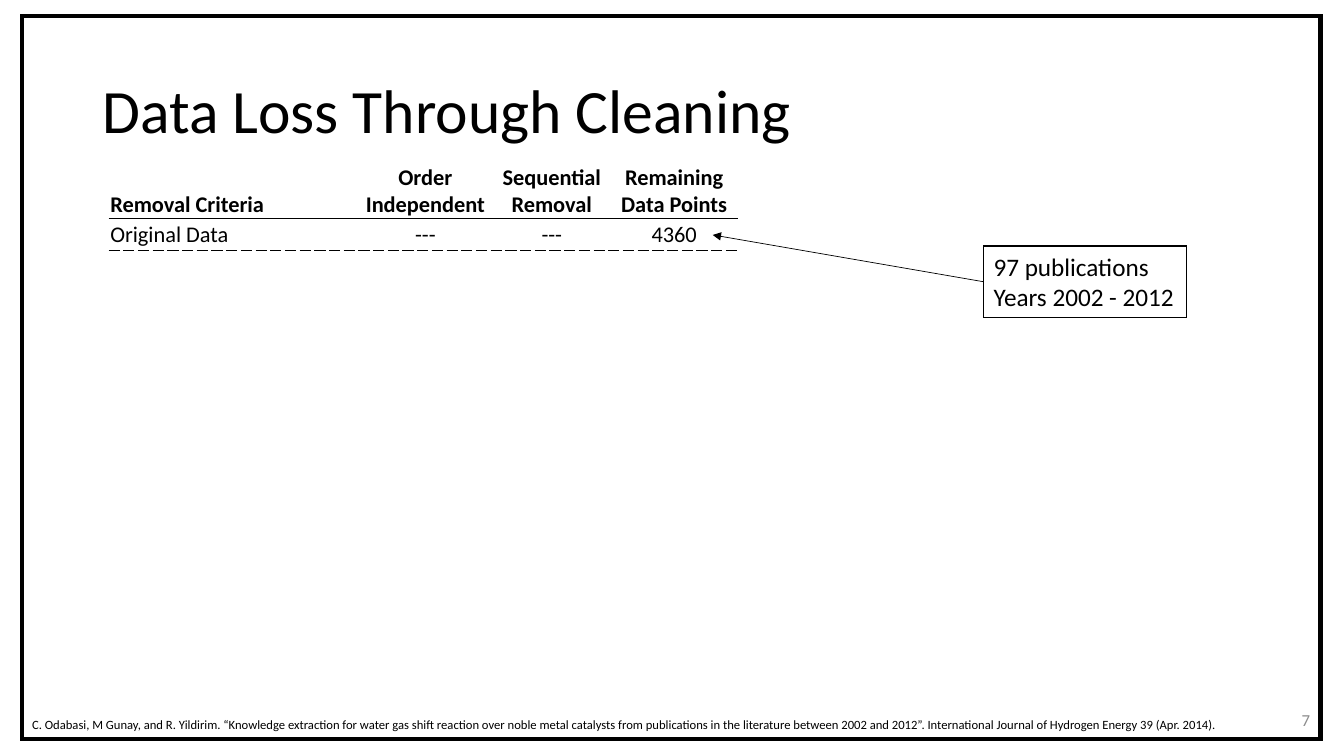
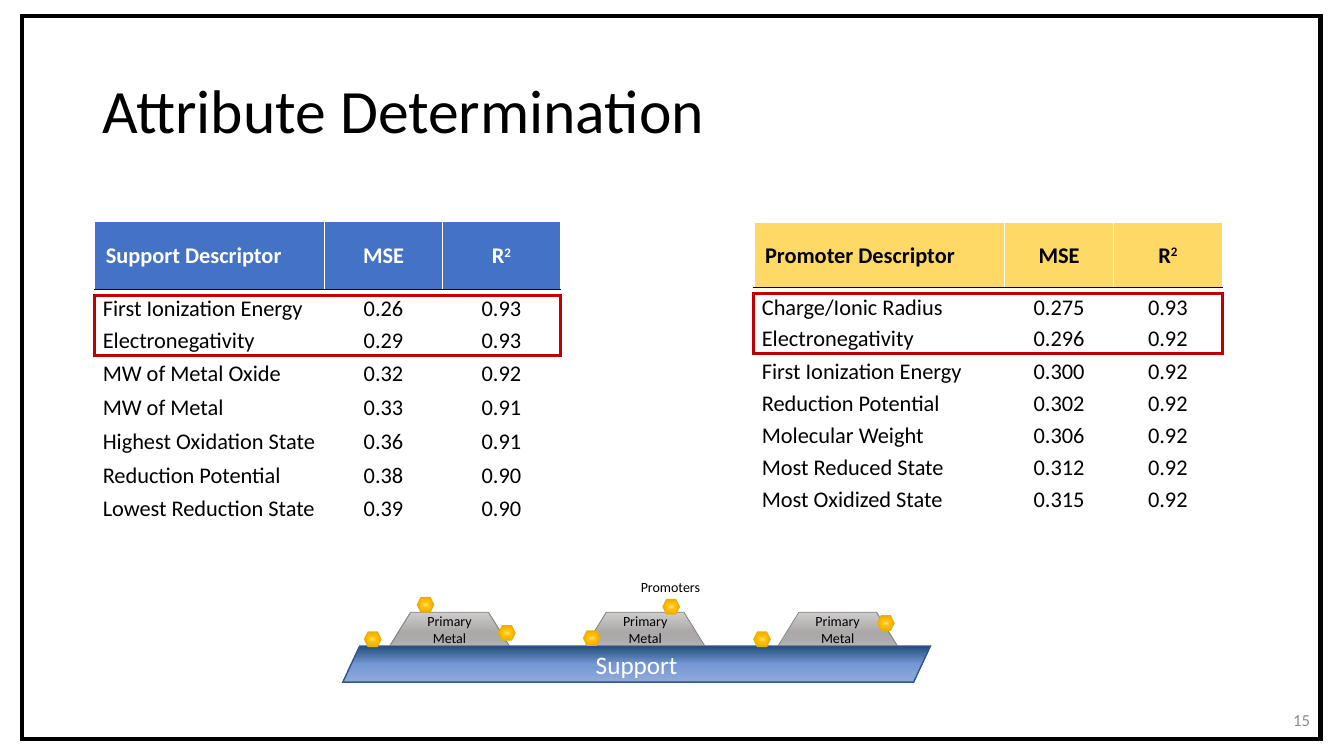
from dataclasses import dataclass

import lxml.etree
import pptx
import pptx.dml.color
import pptx.enum.dml
import pptx.enum.shapes
import pptx.enum.text
import pptx.oxml
import pptx.oxml.ns
import pptx.util

Cm, Pt = pptx.util.Cm, pptx.util.Pt
Shapes = pptx.enum.shapes.MSO_SHAPE
Align = pptx.enum.text.PP_ALIGN
Anchor = pptx.enum.text.MSO_ANCHOR
qn = pptx.oxml.ns.qn
NAMESPACE = pptx.oxml.ns.nsdecls("a")


@dataclass(frozen=True)
class Theme:
    font: str = "Calibri"
    black: str = "000000"
    white: str = "FFFFFF"
    page_grey: str = "8C8C8C"
    blue: str = "4472C4"
    yellow: str = "FFD966"
    red: str = "C00000"
    support_line: str = "325491"
    metal_line: str = "808080"
    promoter_line: str = "EBB001"
    # Gradient stops: position in percent, colour, opacity in percent
    support_stops: tuple = ((0, "1F4E79", 100), (50, "7597D3", 100), (100, "8FAADC", 100))
    metal_stops: tuple = ((0, "D0CECE", 100), (54, "AFABAB", 100), (100, "7C7C7C", 55))
    promoter_stops: tuple = ((0, "FFD966", 100), (40, "FFC000", 100), (100, "EBB001", 100))
    title_size: int = 44
    label_size: int = 18
    table_size: int = 16
    page_size: int = 12
    small_size: int = 10
    citation_size: int = 9


THEME = Theme()
DEFAULT_MARGINS = (0.25, 0.13, 0.25, 0.13)
CELL_INSET = 0.03


def rgb(color):
    return pptx.dml.color.RGBColor.from_string(color)


# Text

def style_paragraph(paragraph, size, color, align=Align.LEFT, bold=False):
    paragraph.alignment = align
    font = paragraph.font
    font.name, font.size, font.bold = THEME.font, Pt(size), bold
    font.color.rgb = rgb(color)


def set_text(frame, lines, size, color=THEME.black, align=Align.LEFT,
             anchor=Anchor.TOP, margins=DEFAULT_MARGINS, wrap=True):
    frame.word_wrap = wrap
    frame.vertical_anchor = anchor
    (frame.margin_left, frame.margin_top,
     frame.margin_right, frame.margin_bottom) = (Cm(margin) for margin in margins)
    for index, line in enumerate(lines):
        paragraph = frame.add_paragraph() if index else frame.paragraphs[0]
        paragraph.add_run().text = line
        style_paragraph(paragraph, size, color, align)


def add_text(slide, box, text, size, **options):
    text_box = slide.shapes.add_textbox(*map(Cm, box))
    set_text(text_box.text_frame, [text], size, **options)
    return text_box


# Shapes

def add_shape(slide, kind, box, line, width, adjustment=None):
    shape = slide.shapes.add_shape(kind, *map(Cm, box))
    shape.shadow.inherit = False
    shape.fill.background()
    shape.line.color.rgb = rgb(line)
    shape.line.width = Pt(width)
    # Square corners
    outline = shape._element.spPr.find(qn("a:ln"))
    lxml.etree.SubElement(outline, qn("a:miter"), lim="800000")
    if adjustment is not None:
        shape.adjustments[0] = adjustment
    return shape


def set_gradient(shape, stops, direction):
    stop_xml = "".join(
        f'<a:gs pos="{position * 1000}"><a:srgbClr val="{color}">'
        f'<a:alpha val="{opacity * 1000}"/></a:srgbClr></a:gs>'
        for position, color, opacity in stops)
    gradient = pptx.oxml.parse_xml(
        f'<a:gradFill {NAMESPACE} rotWithShape="1">'
        f'<a:gsLst>{stop_xml}</a:gsLst>{direction}</a:gradFill>')
    properties = shape._element.spPr
    properties.replace(properties.find(qn("a:noFill")), gradient)


DOWNWARD = '<a:lin ang="5400000" scaled="0"/>'
FROM_CENTRE = ('<a:path path="rect"><a:fillToRect l="50000" t="50000" '
               'r="50000" b="50000"/></a:path>')


def add_arrow(slide, source, side, target):
    left, top = map(Cm, target)
    arrow = slide.shapes.add_connector(
        pptx.enum.shapes.MSO_CONNECTOR.STRAIGHT, left, top, left, top)
    arrow.begin_connect(source, side)
    arrow.line.color.rgb = rgb(THEME.black)
    arrow.line.width = Pt(0.5)
    properties = arrow._element.spPr
    lxml.etree.SubElement(properties.find(qn("a:ln")), qn("a:tailEnd"), type="triangle")
    lxml.etree.SubElement(properties, qn("a:effectLst"))


# Tables

def set_borders(cell, top=THEME.white, bottom=THEME.white, dashed=False):
    properties = cell._tc.get_or_add_tcPr()
    for side, color in zip("LRTB", (THEME.white, THEME.white, top, bottom)):
        dash = dashed and side == "B"
        properties.append(pptx.oxml.parse_xml(
            f'<a:ln{side} {NAMESPACE} w="{9525 if dash else 12700}"><a:solidFill>'
            f'<a:srgbClr val="{color}"/></a:solidFill>'
            f'<a:prstDash val="{"sysDash" if dash else "solid"}"/></a:ln{side}>'))


def fill_cell(cell, text, color=THEME.black, align=Align.CENTER, bold=False,
              anchor=Anchor.MIDDLE, left=CELL_INSET, top=CELL_INSET, fill=None):
    """Write a cell; a line feed breaks the line and ^ starts a superscript."""
    cell.margin_left, cell.margin_top = Cm(left), Cm(top)
    cell.margin_right, cell.margin_bottom = Cm(CELL_INSET), 0
    cell.vertical_anchor = anchor
    paragraph = cell.text_frame.paragraphs[0]
    base, _, superscript = text.partition("^")
    for index, line in enumerate(base.split("\n")):
        if index:
            paragraph.add_line_break()
        paragraph.add_run().text = line
    if superscript:
        run = paragraph.add_run()
        run.text = superscript
        run._r.get_or_add_rPr().set("baseline", "30000")
    style_paragraph(paragraph, THEME.table_size, color, align, bold)
    if fill:
        cell.fill.solid()
        cell.fill.fore_color.rgb = rgb(fill)
    else:
        cell.fill.background()


def add_grid(slide, left, top, widths, heights):
    table = slide.shapes.add_table(
        len(heights), len(widths), Cm(left), Cm(top),
        Cm(sum(widths)), Cm(sum(heights))).table
    table.first_row = table.horz_banding = False
    for column, width in zip(table.columns, widths):
        column.width = Cm(width)
    for row, height in zip(table.rows, heights):
        row.height = Cm(height)
    return table


def add_removal_table(slide):
    rows = [("Removal Criteria", "Order\nIndependent", "Sequential\nRemoval",
             "Remaining\nData Points"),
            ("Original Data", "---", "---", "4360")]
    table = add_grid(slide, 2.75, 3.2, (6.27, 3.4, 2.97, 3.2), (2.31, 0.79))
    for row, texts in enumerate(rows):
        header = row == 0
        for column, text in enumerate(texts):
            cell = table.cell(row, column)
            set_borders(cell, top=THEME.white if header else THEME.black,
                        bottom=THEME.black, dashed=not header)
            fill_cell(cell, text, bold=header,
                      align=Align.CENTER if column else Align.LEFT,
                      anchor=Anchor.BOTTOM if header else Anchor.MIDDLE)


def add_descriptor_table(slide, left, top, widths, heights, name, fill, color, rows):
    """Draw a ranking of descriptors and frame its two best rows."""
    table = add_grid(slide, left, top, widths, heights)
    for row, texts in enumerate([(name, "MSE", "R^2"), *rows]):
        header, first = row == 0, row == 1
        for column, text in enumerate(texts):
            cell = table.cell(row, column)
            set_borders(cell, top=THEME.black if first else THEME.white,
                        bottom=THEME.black if header else THEME.white)
            name_inset = 0.28 if header else 0.2
            fill_cell(cell, text, bold=header,
                      color=color if header else THEME.black,
                      fill=fill if header else None,
                      align=Align.CENTER if column else Align.LEFT,
                      left=CELL_INSET if column else name_inset,
                      top=0.13 if first else CELL_INSET)
    add_shape(slide, Shapes.RECTANGLE,
              (left, top + heights[0] + 0.16, sum(widths), 1.52), THEME.red, 2.25)


# Catalyst diagram

def add_catalyst(slide):
    support = add_shape(slide, Shapes.PARALLELOGRAM, (8.64, 16.28, 14.81, 0.91),
                        THEME.support_line, 1, 0.466)
    set_gradient(support, THEME.support_stops, DOWNWARD)
    set_text(support.text_frame, ["Support"], THEME.label_size, THEME.white,
             Align.CENTER, Anchor.MIDDLE)
    for left in (9.83, 14.76, 19.61):
        metal = add_shape(slide, Shapes.TRAPEZOID, (left, 15.43, 3, 0.84),
                          THEME.metal_line, 0.5, 0.622)
        set_gradient(metal, THEME.metal_stops, DOWNWARD)
        set_text(metal.text_frame, ["Primary Metal"], THEME.small_size,
                 align=Align.CENTER, anchor=Anchor.MIDDLE,
                 margins=(0.25, 0.05, 0.25, 0.13))
    for left, top in ((16.71, 15.11), (14.71, 15.9), (19, 15.93), (12.57, 15.77),
                      (10.52, 15.06), (9.19, 15.93), (22.12, 15.52)):
        promoter = add_shape(slide, Shapes.HEXAGON, (left, top, 0.41, 0.36),
                             THEME.promoter_line, 1)
        set_gradient(promoter, THEME.promoter_stops, FROM_CENTRE)
    add_text(slide, (15.9, 14.45, 2.06, 0.69), "Promoters", THEME.small_size)


# Slides

def add_slide(presentation):
    return presentation.slides.add_slide(presentation.slide_layouts[6])


def add_title_and_frame(slide, title, number):
    """Add the shared title, page number and frame."""
    title_box = add_text(slide, (2.33, 1.02, 29.21, 3.68), title,
                         THEME.title_size, anchor=Anchor.MIDDLE)
    title_box.text_frame.paragraphs[0].line_spacing = 0.9
    add_text(slide, (25.65, 17.63, 7.62, 1.02), str(number), THEME.page_size,
             color=THEME.page_grey, align=Align.RIGHT, anchor=Anchor.MIDDLE)
    add_shape(slide, Shapes.RECTANGLE, (0.56, 0.41, 32.72, 18.21), THEME.black, 3)


def build_cleaning_slide(presentation):
    slide = add_slide(presentation)
    # The table lies behind the title, as its white top border crosses the title box
    add_removal_table(slide)
    add_title_and_frame(slide, "Data Loss Through Cleaning", 7)
    add_text(slide, (0.56, 17.93, 30.71, 0.64),
             "C. Odabasi, M Gunay, and R. Yildirim. “Knowledge extraction for water gas "
             "shift reaction over noble metal catalysts from publications in the "
             "literature between 2002 and 2012”. International Journal of Hydrogen "
             "Energy 39 (Apr. 2014).", THEME.citation_size)
    callout = add_shape(slide, Shapes.RECTANGLE, (24.79, 6.2, 5.11, 1.8),
                        THEME.black, 0.75)
    set_text(callout.text_frame, ["97 publications", "Years 2002 - 2012"],
             THEME.label_size, wrap=False)
    add_arrow(slide, callout, 1, (17.96, 5.92))


def build_attribute_slide(presentation):
    slide = add_slide(presentation)
    add_title_and_frame(slide, "Attribute Determination", 15)
    add_descriptor_table(
        slide, 2.39, 5.59, (5.79, 2.97, 2.97), [1.7] + [0.85] * 7,
        "Support Descriptor", THEME.blue, THEME.white,
        [("First Ionization Energy", "0.26", "0.93"),
         ("Electronegativity", "0.29", "0.93"),
         ("MW of Metal Oxide", "0.32", "0.92"),
         ("MW of Metal", "0.33", "0.91"),
         ("Highest Oxidation State", "0.36", "0.91"),
         ("Reduction Potential", "0.38", "0.90"),
         ("Lowest Reduction State", "0.39", "0.90")])
    add_descriptor_table(
        slide, 19, 5.61, (6.32, 2.74, 2.74), [1.63, 0.89] + [0.81] * 6,
        "Promoter Descriptor", THEME.yellow, THEME.black,
        [("Charge/Ionic Radius", "0.275", "0.93"),
         ("Electronegativity", "0.296", "0.92"),
         ("First Ionization Energy", "0.300", "0.92"),
         ("Reduction Potential", "0.302", "0.92"),
         ("Molecular Weight", "0.306", "0.92"),
         ("Most Reduced State", "0.312", "0.92"),
         ("Most Oxidized State", "0.315", "0.92")])
    add_catalyst(slide)


def main():
    presentation = pptx.Presentation()
    presentation.slide_width, presentation.slide_height = Cm(33.87), Cm(19.05)
    build_cleaning_slide(presentation)
    build_attribute_slide(presentation)
    presentation.save("out.pptx")


if __name__ == "__main__":
    main()
